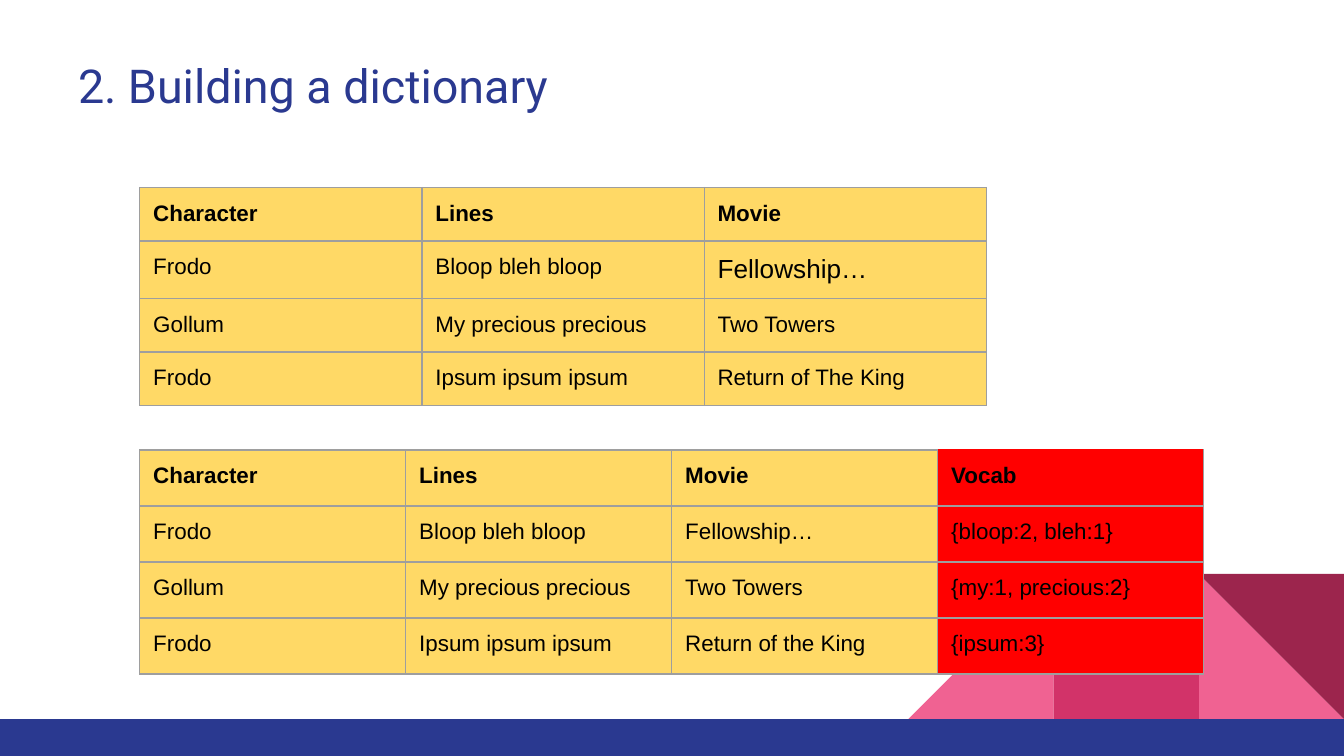
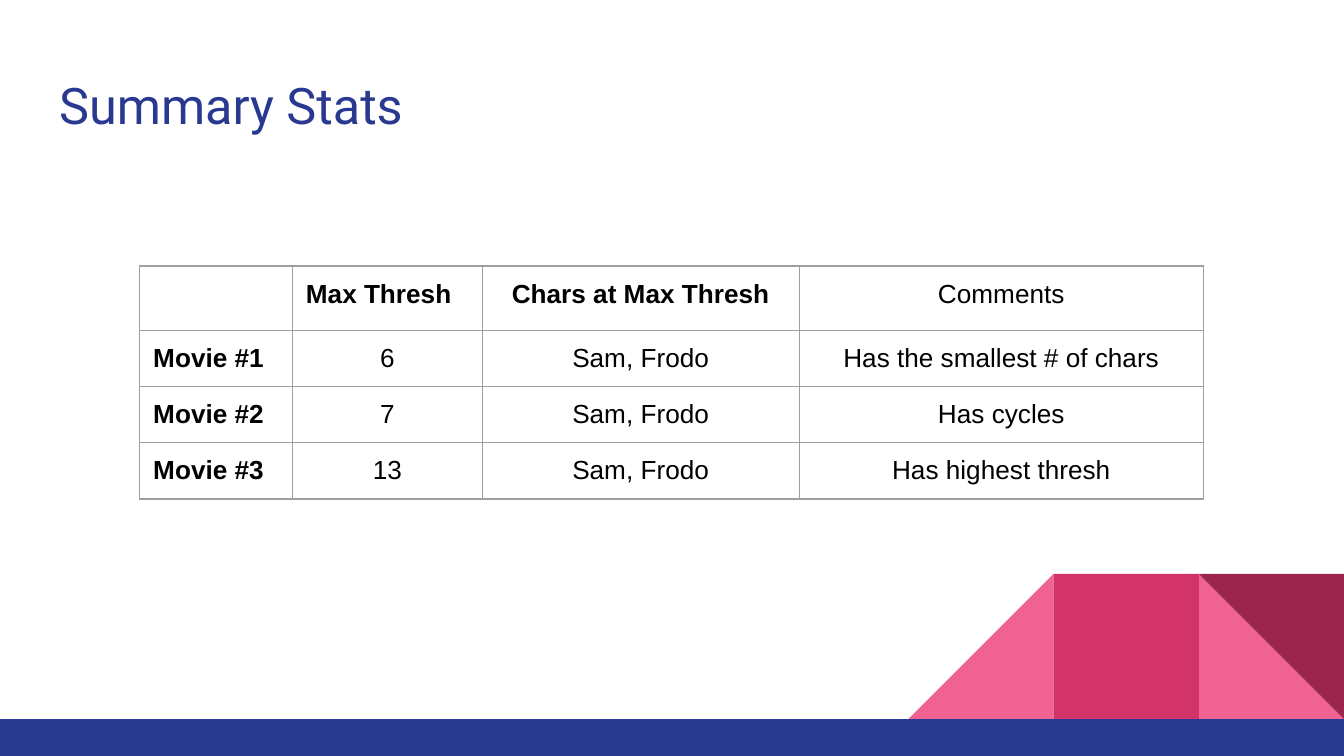
from lxml.etree import SubElement
from pptx import Presentation
from pptx.dml.color import RGBColor
from pptx.enum.shapes import MSO_SHAPE as SHAPE
from pptx.enum.text import MSO_ANCHOR, MSO_AUTO_SIZE, PP_ALIGN
from pptx.oxml.ns import qn
from pptx.util import Pt

NAVY = RGBColor(0x2A, 0x39, 0x90)
PINK = RGBColor(0xF0, 0x62, 0x92)
ROSE = RGBColor(0xD2, 0x33, 0x69)
WINE = RGBColor(0x9C, 0x25, 0x4D)
GOLD = RGBColor(0xFF, 0xD9, 0x66)
RED = RGBColor(0xFF, 0x00, 0x00)
GREY = RGBColor(0x9E, 0x9E, 0x9E)
BLACK = RGBColor(0x00, 0x00, 0x00)

WIDTH, HEIGHT = 720, 405
TILE = 77.8
BAND_TOP = 385.2
TABLE_LEFT = 74.9
INSET = Pt(7.2)


def add_titled_slide(text, left, top, width, size):
    s = prs.slides.add_slide(layout)
    title = s.shapes.title
    title.left, title.top, title.width, title.height = Pt(left), Pt(top), Pt(width), Pt(47.5)
    tf = title.text_frame
    tf.text = text
    tf.word_wrap = True
    tf.auto_size = MSO_AUTO_SIZE.NONE
    tf.vertical_anchor = MSO_ANCHOR.MIDDLE
    tf.margin_left = tf.margin_right = tf.margin_top = tf.margin_bottom = INSET
    p = tf.paragraphs[0]
    p.alignment = PP_ALIGN.LEFT
    font = p.runs[0].font
    font.name, font.size, font.color.rgb = "Roboto", Pt(size), NAVY
    return s


def add_grid(s, top, widths, heights, rows, size, fills):
    frame = s.shapes.add_table(len(rows), len(widths), Pt(TABLE_LEFT), Pt(top),
                               Pt(sum(widths)), Pt(sum(heights)))
    table = frame.table
    table.first_row = table.horz_banding = False
    for column, width in zip(table.columns, widths):
        column.width = Pt(width)
    for row, height in zip(table.rows, heights):
        row.height = Pt(height)
    for i, row in enumerate(rows):
        for j, (text, fill) in enumerate(zip(row, fills)):
            cell = table.cell(i, j)
            cell.text = text
            cell.margin_left = cell.margin_right = cell.margin_top = cell.margin_bottom = INSET
            # Borders; the top edge of a red column is red
            tcPr = cell._tc.get_or_add_tcPr()
            for side in ("lnL", "lnR", "lnT", "lnB"):
                color = RED if (side, i, fill) == ("lnT", 0, RED) else GREY
                ln = SubElement(tcPr, qn(f"a:{side}"), w=str(Pt(0.75)))
                SubElement(SubElement(ln, qn("a:solidFill")), qn("a:srgbClr"), val=str(color))
            if fill is None:
                cell.fill.background()
            else:
                cell.fill.solid()
                cell.fill.fore_color.rgb = fill
            p = cell.text_frame.paragraphs[0]
            if not text:
                SubElement(p._p, qn("a:endParaRPr"), sz=str(size * 100))
            for r in p.runs:
                r.font.name, r.font.size, r.font.color.rgb = "Arial", Pt(size), BLACK
                r.font.bold = i == 0
    return table


prs = Presentation()
prs.slide_width, prs.slide_height = Pt(WIDTH), Pt(HEIGHT)
layout = prs.slide_layouts[5]

# Slide 1: dictionary
s = add_titled_slide("2. Building a dictionary", 34.6, 21.6, 671, 25)

# Shared corner tiles and bottom band, moved into the layout
tile_top = BAND_TOP - TILE
right, middle, left = (WIDTH - n * TILE for n in (1, 2, 3))
decor = [
    (SHAPE.RIGHT_TRIANGLE, right, tile_top, TILE, TILE, PINK, 0, False),
    (SHAPE.RIGHT_TRIANGLE, left, tile_top, TILE, TILE, PINK, 0, True),
    (SHAPE.RECTANGLE, middle, tile_top, TILE, TILE, ROSE, 0, False),
    (SHAPE.RIGHT_TRIANGLE, right, tile_top, TILE, TILE, WINE, 180, False),
    (SHAPE.RECTANGLE, 0, BAND_TOP, WIDTH, HEIGHT - BAND_TOP, NAVY, 0, False),
]
layout_title = layout.placeholders[0].element
for n, (kind, x, y, w, h, color, rotation, flipped) in enumerate(decor):
    sp = s.shapes.add_shape(kind, Pt(x), Pt(y), Pt(w), Pt(h))
    sp.shadow.inherit = False
    sp.fill.solid()
    sp.fill.fore_color.rgb = color
    sp.line.fill.background()
    sp.rotation = rotation
    if flipped:
        sp.element.spPr.find(qn("a:xfrm")).set("flipH", "1")
    sp.element.nvSpPr.cNvPr.set("id", str(101 + n))
    layout_title.addprevious(sp.element)

# Source lines, then the same lines with the vocabulary column
header = ["Character", "Lines", "Movie"]
lines = [
    ["Frodo", "Bloop bleh bloop", "Fellowship…"],
    ["Gollum", "My precious precious", "Two Towers"],
    ["Frodo", "Ipsum ipsum ipsum"],
]
source_rows = [header, *lines[:2], lines[2] + ["Return of The King"]]
source = add_grid(s, 100.5, [151.2] * 3, [28.6, 31, 28.6, 28.6], source_rows, 12, [GOLD] * 3)
source.cell(1, 2).text_frame.paragraphs[0].runs[0].font.size = Pt(14)

vocab = ["Vocab", "{bloop:2, bleh:1}", "{my:1, precious:2}", "{ipsum:3}"]
vocab_rows = [row + [word] for row, word in
              zip([header, *lines[:2], lines[2] + ["Return of the King"]], vocab)]
add_grid(s, 241.1, [142.5] * 4, [30] * 4, vocab_rows, 12, [GOLD] * 3 + [RED])

# Slide 2: summary
s = add_titled_slide("Summary Stats", 24.5, 32.4, 671, 27)
stats_rows = [
    ["", "Max Thresh", "Chars at Max Thresh", "Comments"],
    ["Movie #1", "6", "Sam, Frodo", "Has the smallest # of chars"],
    ["Movie #2", "7", "Sam, Frodo", "Has cycles"],
    ["Movie #3", "13", "Sam, Frodo", "Has highest thresh"],
]
stats = add_grid(s, 142.5, [81.8, 101.7, 169.8, 216.6], [34.4, 30, 30, 30],
                 stats_rows, 14, [None] * 4)
for i in range(4):
    for j in range(4):
        p = stats.cell(i, j).text_frame.paragraphs[0]
        if j > 1 or (i > 0 and j == 1):
            p.alignment = PP_ALIGN.CENTER
        for r in p.runs:
            r.font.bold = j == 0 or (i == 0 and j < 3)

prs.save("out.pptx")
